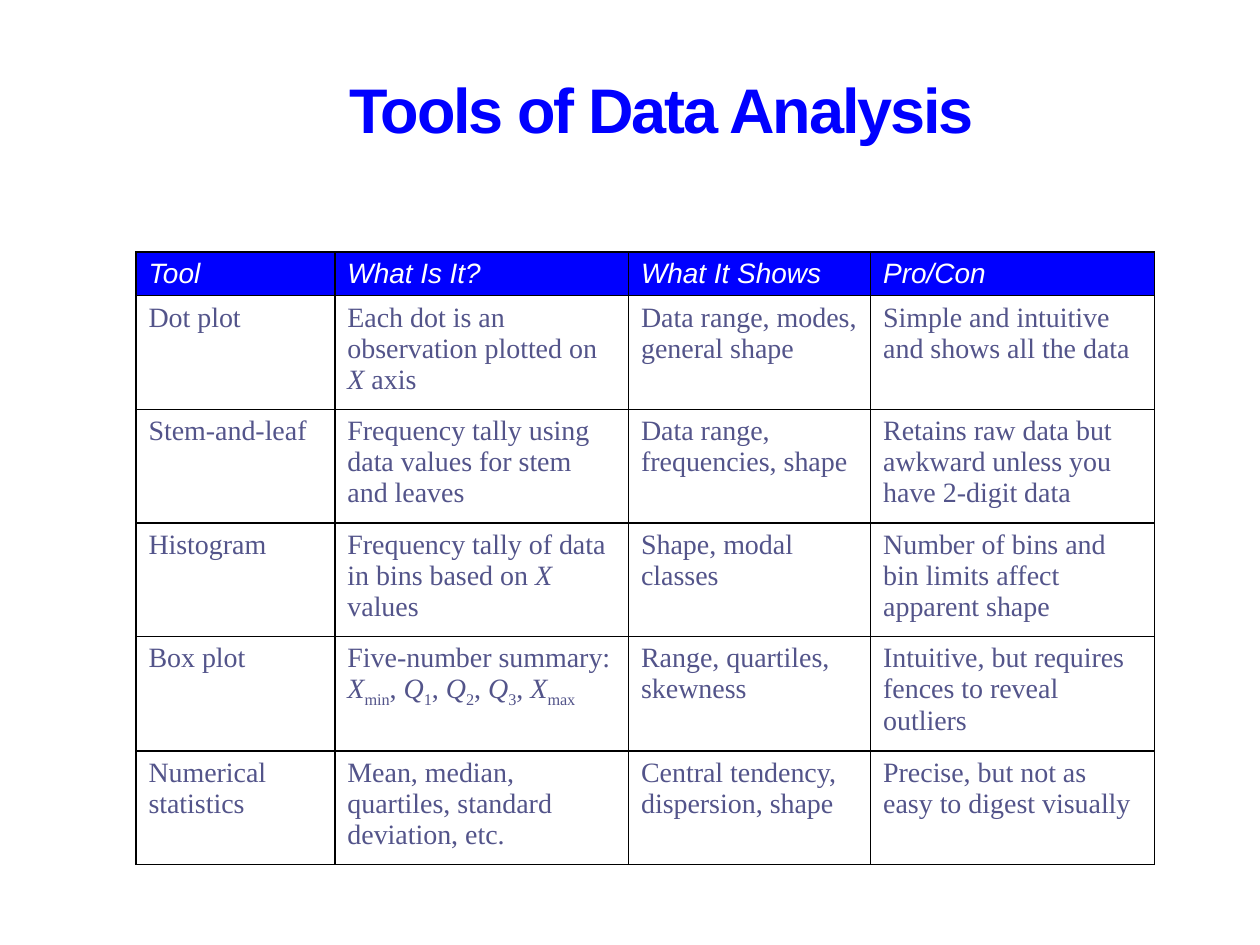
from dataclasses import dataclass

from lxml import etree
from pptx import Presentation
from pptx.dml.color import RGBColor
from pptx.enum.text import MSO_ANCHOR, MSO_AUTO_SIZE, PP_ALIGN
from pptx.oxml.ns import qn
from pptx.util import Cm, Pt

CENTER = PP_ALIGN.CENTER
MIDDLE = MSO_ANCHOR.MIDDLE
NO_AUTOFIT = MSO_AUTO_SIZE.NONE
TITLE_ONLY = 5


@dataclass(frozen=True)
class Theme:
    blue: str = "0000FF"
    white: str = "FFFFFF"
    body: str = "53548A"
    border: str = "000000"
    sans: str = "Arial"
    serif: str = "Times New Roman"
    title_size: int = 36
    table_size: int = 16


THEME = Theme()

COLUMN_WIDTHS = (4.01, 5.92, 4.88, 5.72)
ROW_HEIGHTS = (0.88, 2.29, 2.29, 2.29, 2.31, 2.29)
HEADER = ("Tool", "What Is It?", "What It Shows", "Pro/Con")
# Spans are parted by "|"; a leading "*" means italic, "_" means subscript.
TOOLS = (
    ("Dot plot",
     "Each dot is an observation plotted on |*X| axis",
     "Data range, modes, general shape",
     "Simple and intuitive and shows all the data"),
    ("Stem-and-leaf",
     "Frequency tally using data values for stem and leaves",
     "Data range, frequencies, shape",
     "Retains raw data but awkward unless you have 2-digit data"),
    ("Histogram",
     "Frequency tally of data in bins based on |*X| values",
     "Shape, modal classes",
     "Number of bins and bin limits affect apparent shape"),
    ("Box plot",
     "Five-number summary:\n*X|_min|, |*Q|_1|, |*Q|_2|, |*Q|_3|, |*X|_max",
     "Range, quartiles, skewness",
     "Intuitive, but requires fences to reveal outliers"),
    ("Numerical statistics",
     "Mean, median, quartiles, standard deviation, etc.",
     "Central tendency, dispersion, shape",
     "Precise, but not as easy to digest visually"),
)


def style_font(font, name, size, color):
    font.name = name
    font.size = Pt(size)
    font.color.rgb = RGBColor.from_string(color)


def add_title(page, text):
    title = page.shapes.title
    title.left, title.top = Cm(2.54), Cm(1.27)
    title.width, title.height = Cm(21.59), Cm(2.13)
    frame = title.text_frame
    frame.auto_size = NO_AUTOFIT
    frame.vertical_anchor = MIDDLE
    para = frame.paragraphs[0]
    para.alignment = CENTER
    para.line_spacing = 0.8
    style_font(para.font, THEME.sans, THEME.title_size, THEME.blue)
    para.font.bold = True
    span = para.add_run()
    span.text = text
    span._r.get_or_add_rPr().set("spc", "-120")


def add_spans(para, marked_text):
    """Add one run per span, reading the italic and subscript marks."""
    for part in marked_text.split("|"):
        span = para.add_run()
        span.text = part.lstrip("*_")
        if part.startswith("*"):
            span.font.italic = True
        elif part.startswith("_"):
            span._r.get_or_add_rPr().set("baseline", "-25000")


def set_borders(cell):
    properties = cell._tc.get_or_add_tcPr()
    for side in ("lnL", "lnR", "lnT", "lnB"):
        line = etree.SubElement(properties, qn(f"a:{side}"), w=str(Pt(1)))
        fill = etree.SubElement(line, qn("a:solidFill"))
        etree.SubElement(fill, qn("a:srgbClr"), val=THEME.border)


def fill_cell(cell, text, is_header):
    set_borders(cell)
    cell.fill.solid()
    cell.fill.fore_color.rgb = RGBColor.from_string(
        THEME.blue if is_header else THEME.white)
    frame = cell.text_frame
    for index, line in enumerate(text.split("\n")):
        para = frame.add_paragraph() if index else frame.paragraphs[0]
        if is_header:
            style_font(para.font, THEME.sans, THEME.table_size, THEME.white)
            para.font.italic = True
        else:
            style_font(para.font, THEME.serif, THEME.table_size, THEME.body)
        add_spans(para, line)


def add_tools_table(page):
    rows = (HEADER, *TOOLS)
    table = page.shapes.add_table(
        len(rows), len(HEADER), Cm(2.74), Cm(5.08),
        Cm(sum(COLUMN_WIDTHS)), Cm(sum(ROW_HEIGHTS))).table
    table.first_row = False
    table.horz_banding = False
    for column, width in zip(table.columns, COLUMN_WIDTHS):
        column.width = Cm(width)
    for row_index, (row, height) in enumerate(zip(table.rows, ROW_HEIGHTS)):
        row.height = Cm(height)
        for cell, text in zip(row.cells, rows[row_index]):
            fill_cell(cell, text, is_header=row_index == 0)


def main():
    deck = Presentation()
    deck.slide_width, deck.slide_height = Cm(25.4), Cm(19.05)
    page = deck.slides.add_slide(deck.slide_layouts[TITLE_ONLY])
    add_title(page, "Tools of Data Analysis")
    add_tools_table(page)
    deck.save("out.pptx")


if __name__ == "__main__":
    main()
